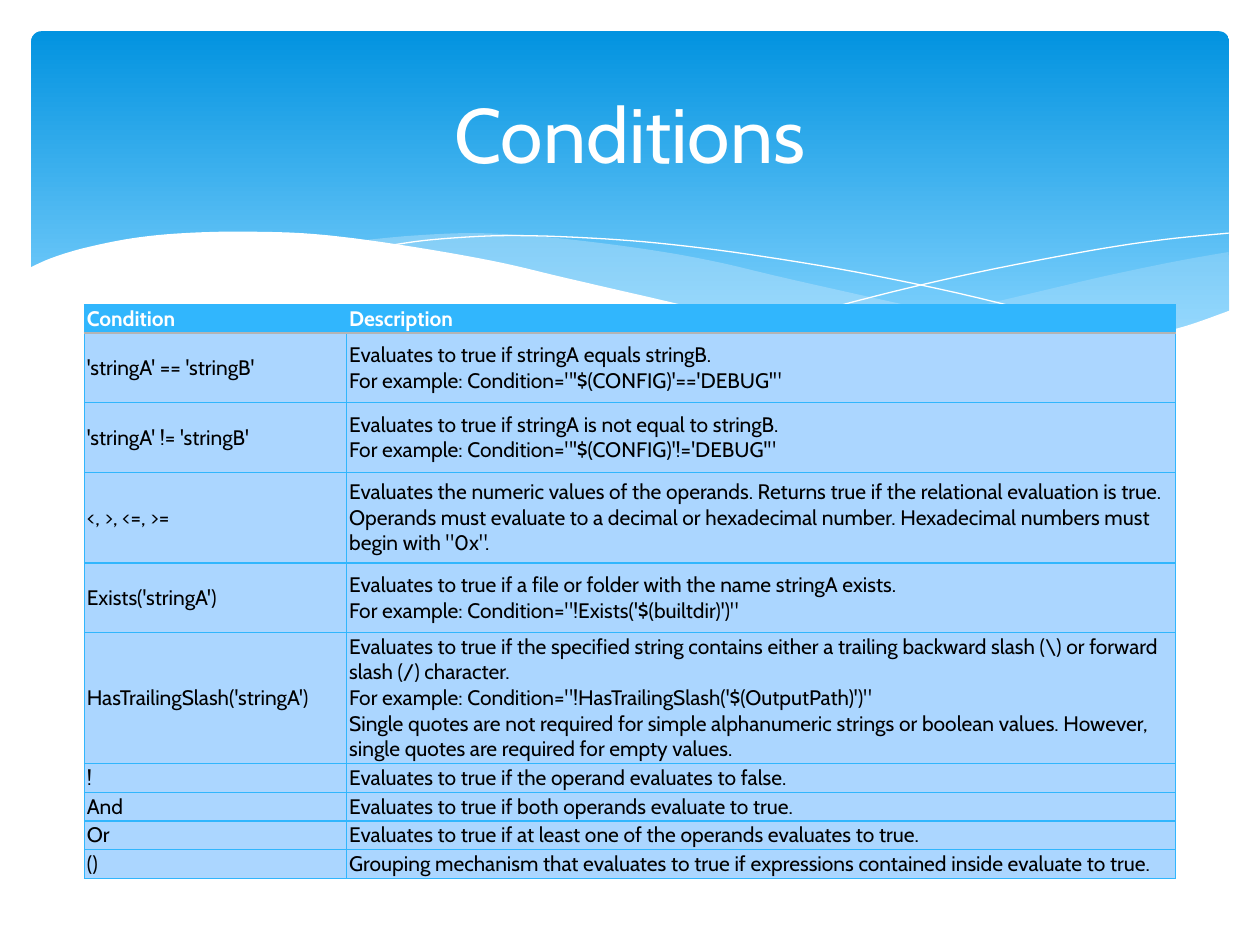
from pptx import Presentation
from pptx.dml.color import RGBColor
from pptx.enum.shapes import MSO_SHAPE as SHAPE
from pptx.enum.text import MSO_ANCHOR as ANCHOR, PP_ALIGN as ALIGN
from pptx.oxml.ns import qn
from pptx.util import Cm, Pt
from lxml.etree import SubElement, Element

FONT = "Cabin"
WHITE = RGBColor(0xFF, 0xFF, 0xFF)
BLACK = RGBColor(0x00, 0x00, 0x00)
BLUE = RGBColor(0x31, 0xB6, 0xFD)
DEEP_BLUE = RGBColor(0x02, 0x93, 0xE0)
SKY_BLUE = RGBColor(0x83, 0xD3, 0xFE)
MIST = RGBColor(0xC6, 0xE7, 0xFC)
CELL_BLUE = RGBColor(0xAB, 0xD6, 0xFF)
GREY = RGBColor(0xB4, 0xB4, 0xB4)

# Wave edges: points in cm that a smooth curve passes through
RIGHT_TOP = [(24.77, 5.08), (23.75, 5.26), (22.63, 5.49), (21.87, 5.66),
             (19.79, 6.15), (18.52, 6.43), (16.79, 6.73)]
RIGHT_BOTTOM = [(16.79, 6.73), (17.91, 6.88), (19.23, 7.01), (20.4, 7.06),
                (21.69, 7.01), (22.78, 6.86), (23.75, 6.65), (24.79, 6.27)]
MIDDLE_TOP = [(22.68, 6.93), (20.5, 6.6), (18.82, 6.27), (15.98, 5.64),
              (14.45, 5.28), (13.06, 5.03), (11.23, 4.8), (9.65, 4.7),
              (8.33, 4.75), (7.26, 4.85)]
MIDDLE_BOTTOM = [(7.26, 4.85), (8.69, 5.05), (10.26, 5.36), (11.4, 5.64),
                 (13.46, 6.1), (15.27, 6.48), (16.89, 6.76), (18.34, 6.96),
                 (19.94, 7.06), (21.29, 7.06), (22.68, 6.93)]
FALLING_LINE = [(7.85, 4.95), (8.74, 4.83), (10.19, 4.75), (11.91, 4.8),
                (13.54, 4.93), (15.44, 5.18), (17.65, 5.56), (20.19, 6.12),
                (23.04, 6.91)]
RISING_LINE = [(15.57, 6.53), (17.65, 5.97), (19.71, 5.49), (22, 5.05),
               (23.47, 4.83), (24.77, 4.7)]
FRONT_TOP = [(24.82, 6.25), (23.88, 6.58), (22.83, 6.83), (21.59, 6.99),
             (20.55, 7.04), (18.9, 6.96), (16.97, 6.73), (14.71, 6.35),
             (12.78, 5.92), (11.35, 5.59), (9.93, 5.26), (8.03, 4.93),
             (6.35, 4.72), (4.9, 4.67), (3.71, 4.7), (2.69, 4.8), (1.7, 5),
             (1.02, 5.21), (0.58, 5.41)]
FRONT_BASE = [(0.58, 8.36), (24.82, 8.36)]

# Row height in cm, condition, description paragraphs
ROWS = [
    (0.58, "Condition", ["Description"]),
    (1.4, "'stringA' == 'stringB'",
     ["Evaluates to true if stringA equals stringB.",
      "For example: Condition=\"'$(CONFIG)'=='DEBUG'\""]),
    (1.4, "'stringA' != 'stringB'",
     ["Evaluates to true if stringA is not equal to stringB.",
      "For example: Condition=\"'$(CONFIG)'!='DEBUG'\""]),
    (1.83, "<, >, <=, >=",
     ["Evaluates the numeric values of the operands. Returns true if the "
      "relational evaluation is true. Operands must evaluate to a decimal or "
      "hexadecimal number. Hexadecimal numbers must begin with \"0x\"."]),
    (1.4, "Exists('stringA')",
     ["Evaluates to true if a file or folder with the name stringA exists.",
      "For example: Condition=\"!Exists('$(builtdir)')\""]),
    (2.64, "HasTrailingSlash('stringA')",
     ["Evaluates to true if the specified string contains either a trailing "
      "backward slash (\\) or forward slash (/) character.",
      "For example: Condition=\"!HasTrailingSlash('$(OutputPath)')\"",
      "Single quotes are not required for simple alphanumeric strings or "
      "boolean values. However, single quotes are required for empty values."]),
    (0.57, "!", ["Evaluates to true if the operand evaluates to false."]),
    (0.57, "And", ["Evaluates to true if both operands evaluate to true."]),
    (0.57, "Or",
     ["Evaluates to true if at least one of the operands evaluates to true."]),
    (0.57, "()",
     ["Grouping mechanism that evaluates to true if expressions contained "
      "inside evaluate to true."]),
]


def write_text(tf, paragraphs, size=12, color=BLACK, bold=False, align=ALIGN.LEFT):
    for i, text in enumerate(paragraphs):
        p = tf.add_paragraph() if i else tf.paragraphs[0]
        p.alignment = align
        r = p.add_run()
        r.text = text
        r.font.name, r.font.size, r.font.bold = FONT, Pt(size), bold
        r.font.color.rgb = color


def smooth(points, steps=6):
    """Catmull-Rom curve through the points."""
    ends = [points[0], *points, points[-1]]
    curve = [points[0]]
    for a, b, c, d in zip(ends, ends[1:], ends[2:], ends[3:]):
        for k in range(1, steps + 1):
            t = k / steps
            curve.append(tuple(
                (2 * q + (r - p) * t + (2 * p - 5 * q + 4 * r - s) * t ** 2
                 + (3 * q - p - 3 * r + s) * t ** 3) / 2
                for p, q, r, s in zip(a, b, c, d)))
    return curve


def add_wave(slide, points, fill=None, opacity=100):
    """A filled wave, or a white hairline when there is no fill."""
    pts = [(Cm(x), Cm(y)) for x, y in points]
    builder = slide.shapes.build_freeform(*pts[0])
    builder.add_line_segments(pts[1:], close=fill is not None)
    s = builder.convert_to_shape()
    s.shadow.inherit = False
    if fill is None:
        s.fill.background()
        s.line.color.rgb = WHITE
        s.line.width = Pt(0)
        return
    s.fill.solid()
    s.fill.fore_color.rgb = fill
    s.line.fill.background()
    if opacity < 100:
        clr = s.fill._xPr.find(qn("a:solidFill"))[0]
        SubElement(clr, qn("a:alpha")).set("val", str(opacity * 1000))


def add_banner(slide):
    s = slide.shapes.add_shape(SHAPE.ROUNDED_RECTANGLE,
                               Cm(0.63), Cm(0.63), Cm(24.15), Cm(6.86))
    s.adjustments[0] = 0.03
    s.shadow.inherit = False
    s.line.fill.background()
    s.fill.gradient()
    s.fill.gradient_angle = 270
    for stop, pos, color in zip(s.fill.gradient_stops, (0, 0.9),
                                (DEEP_BLUE, SKY_BLUE)):
        stop.position = pos
        stop.color.rgb = color


def add_title(slide, text):
    sp = slide.shapes.add_textbox(Cm(1.27), Cm(0.94), Cm(22.86), Cm(3.48))
    tf = sp.text_frame
    tf.word_wrap = True
    tf.vertical_anchor = ANCHOR.MIDDLE
    write_text(tf, [text], size=44, color=WHITE, align=ALIGN.CENTER)


def set_borders(cell, **special):
    """Blue borders; special maps a side (L, R, T, B) to (colour, points)."""
    tcPr = cell._tc.get_or_add_tcPr()
    for i, side in enumerate("LRTB"):
        color, width = special.get(side, (BLUE, 0.75))
        ln = Element(qn("a:ln" + side), w=str(Pt(width)))
        fill = SubElement(ln, qn("a:solidFill"))
        SubElement(fill, qn("a:srgbClr")).set("val", str(color))
        tcPr.insert(i, ln)


def add_conditions_table(slide):
    height = sum(row[0] for row in ROWS)
    table = slide.shapes.add_table(len(ROWS), 2, Cm(1.7), Cm(6.14),
                                   Cm(22), Cm(height)).table
    for col, width in zip(table.columns, (5.29, 16.71)):
        col.width = Cm(width)
    rule = (GREY, 1.25)
    for i, (row_height, condition, description) in enumerate(ROWS):
        table.rows[i].height = Cm(row_height)
        header = i == 0
        special = {0: {"B": rule}, 1: {"T": rule}}.get(i, {})
        for j, paragraphs in enumerate(([condition], description)):
            cell = table.cell(i, j)
            cell.margin_left = cell.margin_right = Cm(0.05)
            cell.margin_top = cell.margin_bottom = Cm(0.03)
            cell.vertical_anchor = ANCHOR.MIDDLE
            cell.fill.solid()
            cell.fill.fore_color.rgb = BLUE if header else CELL_BLUE
            set_borders(cell, **special)
            write_text(cell.text_frame, paragraphs, bold=header,
                       color=WHITE if header else BLACK)


def main():
    prs = Presentation()
    prs.slide_width, prs.slide_height = Cm(25.4), Cm(19.05)
    slide = prs.slides.add_slide(prs.slide_layouts[6])

    # Banner with waves, back to front
    add_banner(slide)
    add_wave(slide, smooth(RIGHT_TOP) + smooth(RIGHT_BOTTOM), MIST, 29)
    add_wave(slide, smooth(MIDDLE_TOP) + smooth(MIDDLE_BOTTOM), MIST, 40)
    add_wave(slide, smooth(FALLING_LINE))
    add_wave(slide, smooth(RISING_LINE))
    add_wave(slide, smooth(FRONT_TOP) + FRONT_BASE, WHITE)

    # Content
    add_conditions_table(slide)
    add_title(slide, "Conditions")
    prs.save("out.pptx")


if __name__ == "__main__":
    main()
